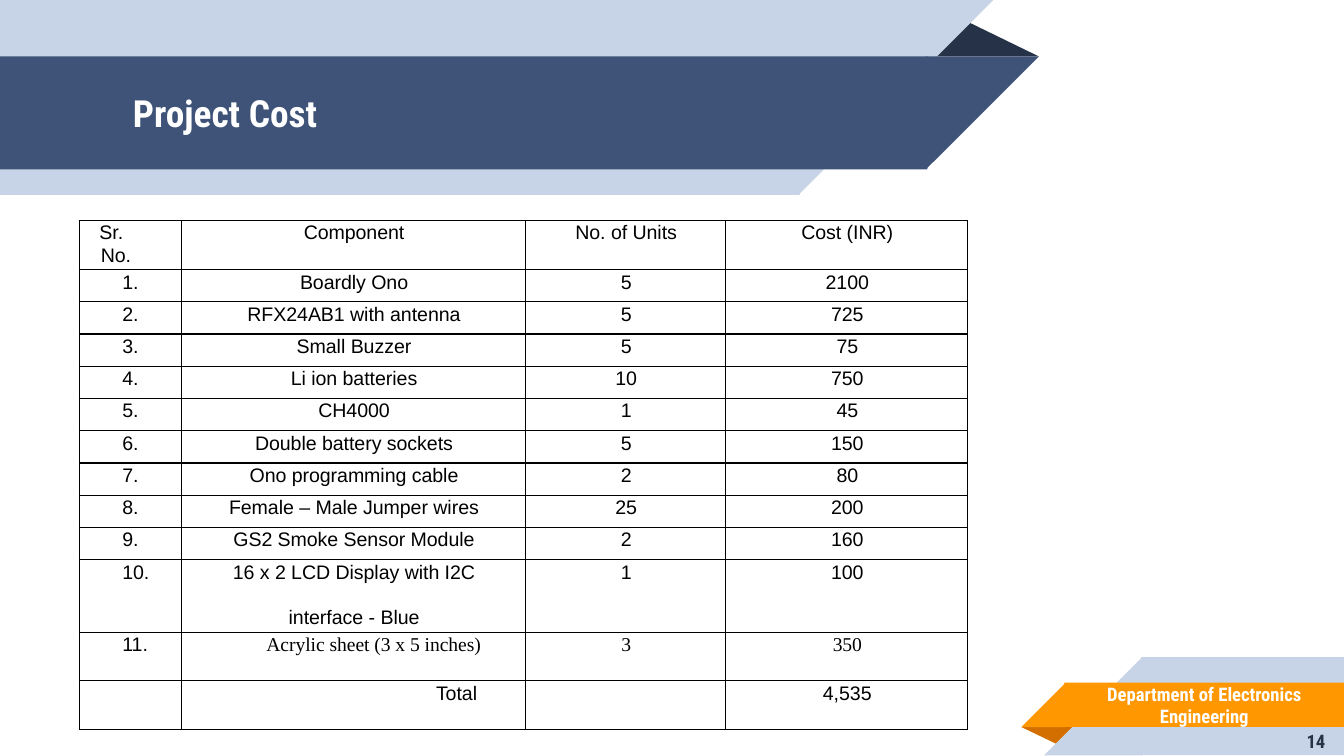
import pptx
import pptx.util
import pptx.dml.color
import pptx.enum.shapes
import pptx.enum.text
import pptx.oxml.ns
import lxml.etree

KIND = pptx.enum.shapes.MSO_SHAPE
SIDE = pptx.enum.text.PP_ALIGN
MID = pptx.enum.text.MSO_ANCHOR.MIDDLE
INCH = pptx.util.Inches
WIDE = 10
HIGH = WIDE * 9 / 16
LAP = 0.01
HEAD = "Roboto Condensed"
PALE, NAVY, DARK = "C7D3E6", "3F5378", "263248"
GOLD, RUST, WHITE, BLACK = "FF9800", "D26F00", "FFFFFF", "000000"

PARTS = [
    ("Boardly Ono", "5", "2100"),
    ("RFX24AB1 with antenna", "5", "725"),
    ("Small Buzzer", "5", "75"),
    ("Li ion batteries", "10", "750"),
    ("CH4000", "1", "45"),
    ("Double battery sockets", "5", "150"),
    ("Ono programming cable", "2", "80"),
    ("Female – Male Jumper wires", "25", "200"),
    ("GS2 Smoke Sensor Module", "2", "160"),
    ("16 x 2 LCD Display with I2C\ninterface - Blue", "1", "100"),
    ("Acrylic sheet (3 x 5 inches)", "3", "350"),
]
ROWS = [("Sr. No.", "Component", "No. of Units", "Cost (INR)")]
ROWS += [(f"{num}.", *part) for num, part in enumerate(PARTS, 1)]
ROWS += [("", "Total", "", "4,535")]
LAST = len(ROWS) - 1
COLS = [0.76, 2.56, 1.49, 1.8]
TALL = [0.36] + [0.24] * 9 + [0.53, 0.36, 0.36]
RIGHT = {(0, 0): 0.25, (LAST - 1, 1): 0.33, (LAST, 1): 0.36}

TOP_BANDS = [(0, 5.94, 1.45, PALE), (0.42, 6.89, 0.84, NAVY)]
LOW_BANDS = [(4.89, 8.5, 0.73, PALE), (5.08, 7.93, 0.33, GOLD)]


def tint(code):
    return pptx.dml.color.RGBColor.from_string(code)


def style(para, size, font, code, bold=False):
    for run in para.runs:
        run.font.size = pptx.util.Pt(size)
        run.font.name = font
        run.font.bold = bold
        run.font.color.rgb = tint(code)


def shape(kind, box, code, turn=0, flip=False):
    item = slide.shapes.add_shape(kind, *map(INCH, box))
    item.shadow.inherit = False
    item.fill.solid()
    item.fill.fore_color.rgb = tint(code)
    item.line.fill.background()
    item.rotation = turn
    if flip:
        item._element.spPr.xfrm.set("flipH", "1")
    return item


def fold(box, code, turn=0):
    shape(KIND.ISOSCELES_TRIANGLE, box, code, turn).adjustments[0] = 0.324


def write(item, text, size, code, side):
    frame = item.text_frame
    frame.word_wrap = True
    frame.vertical_anchor = MID
    frame.text = text
    para = frame.paragraphs[0]
    para.alignment = side
    style(para, size, HEAD, code, True)


def label(box, *rest):
    write(slide.shapes.add_textbox(*map(INCH, box)), *rest)


def border(cell):
    props = cell._tc.get_or_add_tcPr()
    for edge in ("lnL", "lnR", "lnT", "lnB"):
        line = lxml.etree.SubElement(props, pptx.oxml.ns.qn("a:" + edge), w="9525")
        fill = lxml.etree.SubElement(line, pptx.oxml.ns.qn("a:solidFill"))
        lxml.etree.SubElement(fill, pptx.oxml.ns.qn("a:srgbClr"), val=BLACK)


def indent(para, left):
    props = para._p.get_or_add_pPr()
    props.set("marL", str(INCH(left)))
    props.set("indent", str(INCH(-0.01)))


def fill_cell(cell, row, col, text):
    border(cell)
    cell.fill.background()
    cell.margin_left, cell.margin_top = INCH(0.08), INCH(0.01)
    cell.margin_right = INCH(RIGHT.get((row, col), 0.14))
    cell.margin_bottom = 0
    cell.text_frame.text = text
    paras = cell.text_frame.paragraphs
    flush = col == 1 and row >= LAST - 1
    serif = col and row == LAST - 1
    for para in paras:
        para.alignment = SIDE.RIGHT if flush else SIDE.CENTER if col else SIDE.LEFT
        para.line_spacing = 1.02
        para.space_after = pptx.util.Pt(0.3 if para._p is paras[-1]._p else 12.6)
        para.font.size = pptx.util.Pt(10.5)
        indent(para, 0.25 if row and not col else 0.08)
        style(para, 10.5, "Times New Roman" if serif else "Arial", BLACK)


deck = pptx.Presentation()
deck.slide_width, deck.slide_height = INCH(WIDE), INCH(HIGH)
slide = deck.slides.add_slide(deck.slide_layouts[6])

fold((7.6, 5.41, 0.43, 0.14), RUST, 180)
for top, left, size, code in LOW_BANDS:
    box = (left - LAP, top, WIDE - left + LAP, size)
    band = shape(KIND.RECTANGLE, box, code)
    shape(KIND.RIGHT_TRIANGLE, (left - size, top, size, size), code, flip=True)
write(band, "Department of Electronics Engineering", 10, WHITE, SIDE.CENTER)

fold((6.88, 0.14, 0.85, 0.28), DARK)
for top, wide, size, code in TOP_BANDS:
    shape(KIND.RECTANGLE, (0, top, wide + LAP, size), code)
    shape(KIND.RIGHT_TRIANGLE, (wide, top, size, size), code, 180, True)

label((0.89, 0.42, 6.01, 0.84), "Project Cost", 20, WHITE, SIDE.LEFT)
label((8.33, 5.41, 1.63, 0.21), "14", 10, DARK, SIDE.RIGHT)

area = map(INCH, (0.59, 1.64, sum(COLS), sum(TALL)))
table = slide.shapes.add_table(len(ROWS), len(COLS), *area).table
table.first_row = table.horz_banding = False
for col, wide in zip(table.columns, COLS):
    col.width = INCH(wide)
for row, tall in zip(table.rows, TALL):
    row.height = INCH(tall)
for row, texts in enumerate(ROWS):
    for col, text in enumerate(texts):
        fill_cell(table.cell(row, col), row, col, text)

deck.save("out.pptx")
